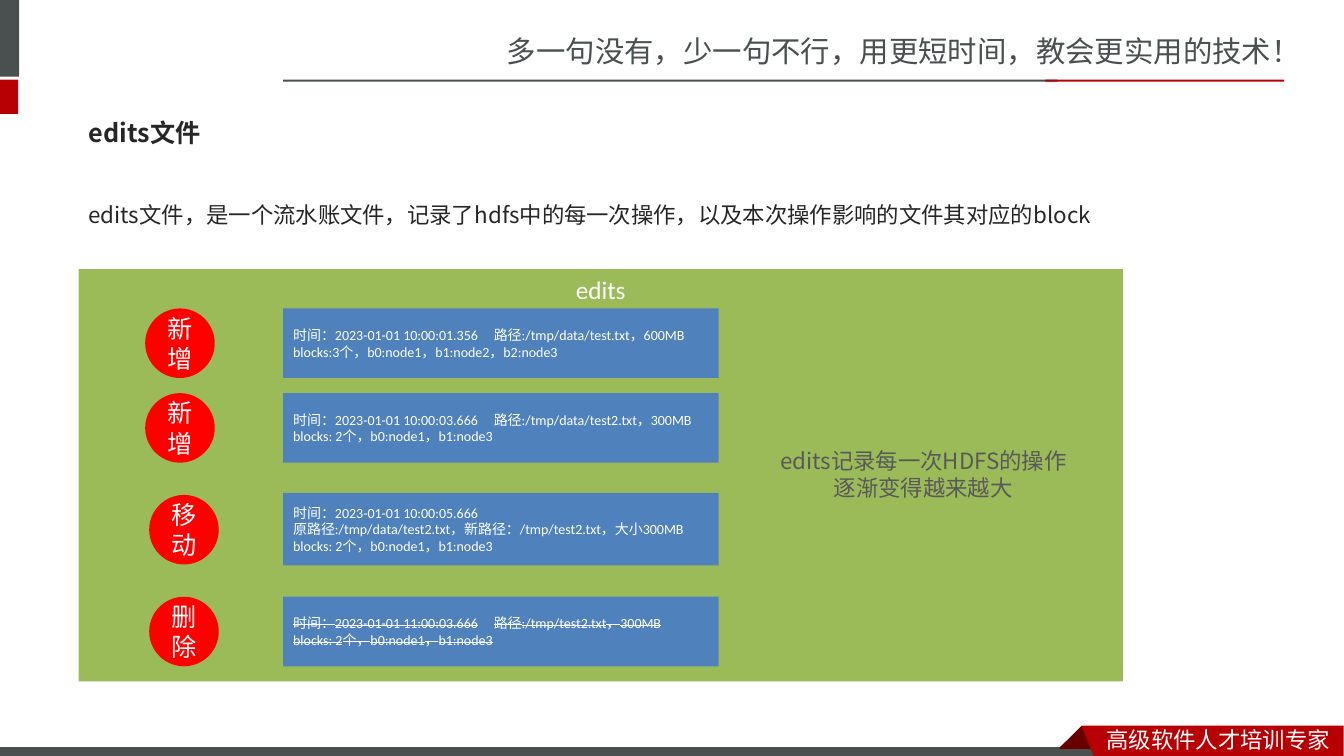
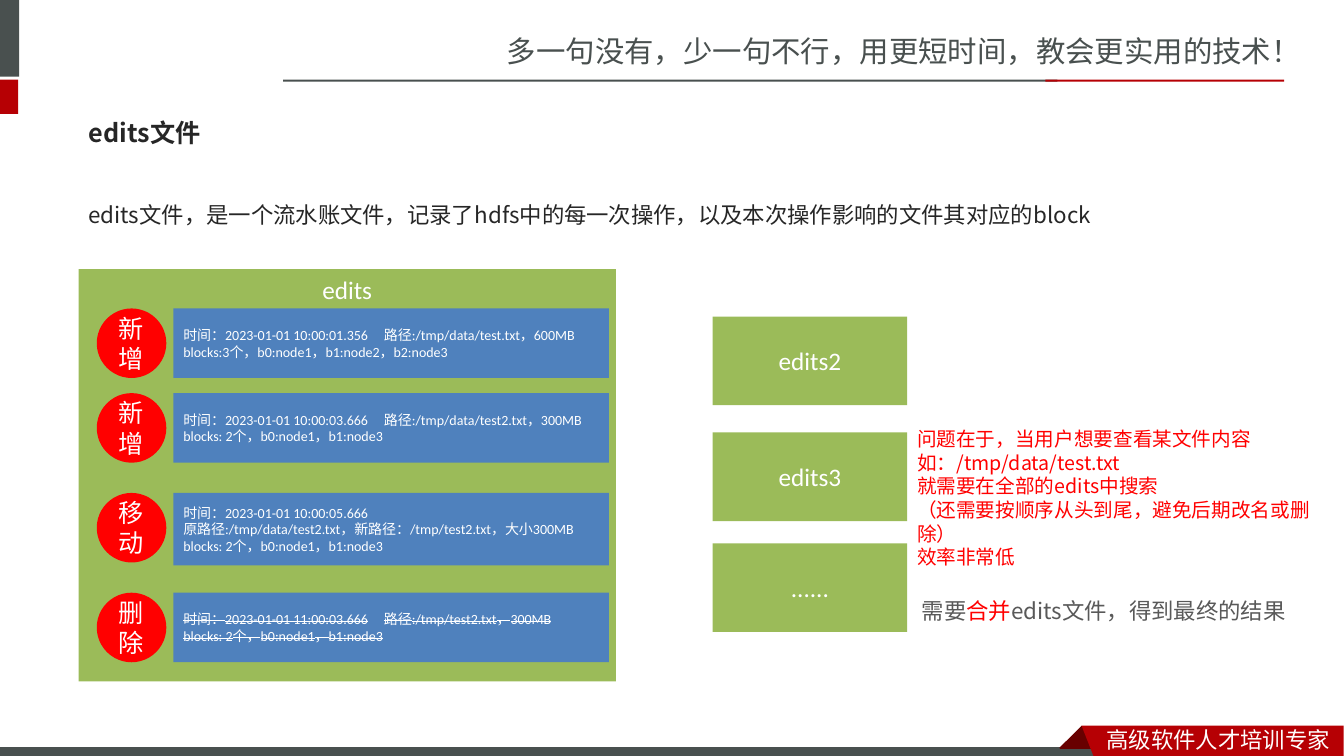
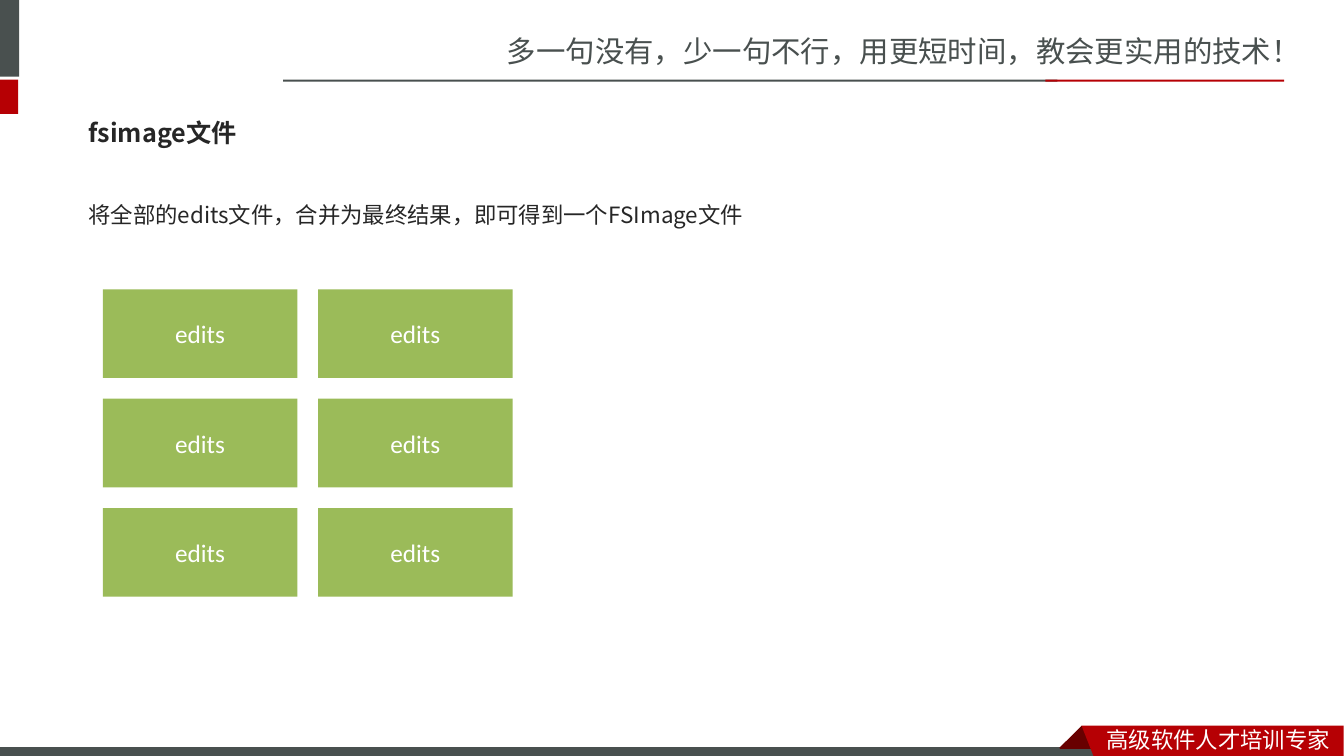
from lxml.etree import SubElement
from pptx import Presentation
from pptx.dml.color import RGBColor
from pptx.enum.shapes import MSO_SHAPE
from pptx.enum.text import MSO_ANCHOR, MSO_AUTO_SIZE, PP_ALIGN
from pptx.oxml.ns import qn
from pptx.util import Inches, Pt

# Grid of square cells, a tenth of an inch each
CELL = Inches(0.1)
COLUMNS, ROWS = 133.33, 75

SLATE = RGBColor(0x49, 0x50, 0x4F)
CRIMSON = RGBColor(0xB6, 0x00, 0x04)
MAROON = RGBColor(0x68, 0x00, 0x00)
WHITE = RGBColor(0xFF, 0xFF, 0xFF)
INK = RGBColor(0x26, 0x26, 0x26)
GRAY = RGBColor(0x59, 0x59, 0x59)
GREEN = RGBColor(0x9B, 0xBB, 0x59)
BLUE = RGBColor(0x4F, 0x81, 0xBD)
RED = RGBColor(0xFF, 0x00, 0x00)

SANS_SC, SANS_JP, LATIN = "Noto Sans CJK SC", "Noto Sans CJK JP", "Calibri"
RECT, OVAL = MSO_SHAPE.RECTANGLE, MSO_SHAPE.OVAL


def place(slide, left, top, width, height, kind=None, fill=None, line=None):
    """Add a text box, or a filled preset shape, measured in grid cells."""
    box = [round(n * CELL) for n in (left, top, width, height)]
    if kind is None:
        return slide.shapes.add_textbox(*box)
    shape = slide.shapes.add_shape(kind, *box)
    shape.shadow.inherit = False
    shape.fill.solid()
    shape.fill.fore_color.rgb = fill
    if line is None:
        shape.line.fill.background()
    else:
        shape.line.color.rgb = line
        shape.line.width = Pt(0.75)
    return shape


def write(shape, *paragraphs, size=18, font=LATIN, color=WHITE, bold=False,
          strike=False, align=PP_ALIGN.LEFT, anchor=MSO_ANCHOR.TOP,
          spacing=None, tab=None):
    """Fill a shape; a paragraph is a string or a list of (text, color) runs."""
    frame = shape.text_frame
    frame.word_wrap = True
    frame.auto_size = MSO_AUTO_SIZE.NONE
    frame.vertical_anchor = anchor
    for number, content in enumerate(paragraphs):
        paragraph = frame.add_paragraph() if number else frame.paragraphs[0]
        paragraph.alignment = align
        paragraph.space_before = Pt(0)
        if spacing:
            paragraph.line_spacing = spacing
        runs = [(content, color)] if isinstance(content, str) else content
        for words, run_color in runs:
            run = paragraph.add_run()
            run.text = words
            run.font.size = Pt(size)
            run.font.name = font
            run.font.bold = bold
            run.font.color.rgb = run_color
    for properties in shape.element.iter(qn("a:rPr")):
        east_asian = SANS_SC if font == LATIN else font
        SubElement(properties, qn("a:ea")).set("typeface", east_asian)
        if strike:
            properties.set("strike", "sngStrike")
    if tab:
        for properties in shape.element.iter(qn("a:pPr")):
            stop = SubElement(SubElement(properties, qn("a:tabLst")), qn("a:tab"))
            stop.set("pos", str(round(tab * CELL)))
            stop.set("algn", "l")


CENTERED = dict(align=PP_ALIGN.CENTER, anchor=MSO_ANCHOR.MIDDLE)

deck = Presentation()
deck.slide_width = round(COLUMNS * CELL)
deck.slide_height = ROWS * CELL
layout = deck.slide_layouts[5]

# Slides with heading and introduction
EDITS_INTRO = ("edits文件，是一个流水账文件，记录了hdfs中的每一次操作，"
               "以及本次操作影响的文件其对应的block")
FSIMAGE_INTRO = "将全部的edits文件，合并为最终结果，即可得到一个FSImage文件"
slides = []
for heading, intro in [("edits文件", EDITS_INTRO), ("edits文件", EDITS_INTRO),
                       ("fsimage文件", FSIMAGE_INTRO)]:
    slide = deck.slides.add_slide(layout)
    title = slide.shapes.title
    title.left, title.top, title.width, title.height = (
        round(n * CELL) for n in (7.8, 10.3, 117, 5.7))
    write(title, heading, font=SANS_JP, color=INK, bold=True,
          anchor=MSO_ANCHOR.MIDDLE)
    write(place(slide, 7.8, 18.1, 117, 9.6), intro, size=16, font=SANS_JP,
          color=INK, spacing=1.5)
    slides.append(slide)
log_slide, search_slide, fsimage_slide = slides

# Shared frame: slogan, bands and ribbon, drawn once and moved to the layout
draft = deck.slides[0]
content_count = len(draft.shapes)
write(place(draft, 49.3, 2.8, 84.1, 4.5),
      "多一句没有，少一句不行，用更短时间，教会更实用的技术！",
      size=21, font=SANS_SC, color=SLATE)
for left, top, width, height, fill in [(-0.6, 0, 2.5, 7.6, SLATE),
                                       (-0.6, 7.9, 2.4, 3.4, CRIMSON),
                                       (28.1, 7.9, 76.8, 0.2, SLATE),
                                       (103.7, 7.9, 23.7, 0.2, CRIMSON)]:
    place(draft, left, top, width, height, RECT, fill)
place(draft, -0.1, 74.1, 110, 1.2, RECT, SLATE, line=WHITE)
FOLD = [(107.3, 72), (109.5, 74.2), (109.4, 74.3), (105.2, 74.3), (105.1, 74.2)]
RIBBON = [(107.3, 72), (133.3, 72), (133.3, 75.4), (108.6, 75.3)]
for outline, fill in [(FOLD, MAROON), (RIBBON, CRIMSON)]:
    corners = [(round(x * CELL), round(y * CELL)) for x, y in outline]
    builder = draft.shapes.build_freeform(*corners[0], scale=1.0)
    builder.add_line_segments(corners[1:], close=True)
    band = builder.convert_to_shape()
    band.shadow.inherit = False
    band.fill.solid()
    band.fill.fore_color.rgb = fill
    band.line.fill.background()
write(place(draft, 108.8, 71.5, 24.5, 3.7), "高级软件人才培训专家",
      size=16, font=SANS_SC)
for part in list(draft.shapes)[content_count:]:
    layout.shapes.element.append(part.element)

# Edit log: one badge and one record per operation
OPERATIONS = [
    ("新增", ["时间：2023-01-01 10:00:01.356\t路径:/tmp/data/test.txt，600MB",
            "blocks:3个，b0:node1，b1:node2，b2:node3"]),
    ("新增", ["时间：2023-01-01 10:00:03.666\t路径:/tmp/data/test2.txt，300MB",
            "blocks: 2个，b0:node1，b1:node3"]),
    ("移动", ["时间：2023-01-01 10:00:05.666",
            "原路径:/tmp/data/test2.txt，新路径：/tmp/test2.txt，大小300MB",
            "blocks: 2个，b0:node1，b1:node3"]),
    ("删除", ["时间：2023-01-01 11:00:03.666\t路径:/tmp/test2.txt，300MB",
            "blocks: 2个，b0:node1，b1:node3"]),
]
LOGS = [  # slide, log width, record column, badge places, record rows
    (log_slide, 103.6, 28.1,
     [(14.4, 30.6), (14.4, 39), (14.8, 49.1), (14.8, 59.2)],
     [30.6, 39, 48.9, 59.2]),
    (search_slide, 53.3, 17.2,
     [(9.6, 30.6), (9.6, 39), (9.6, 48.9), (9.6, 58.8)],
     [30.6, 39, 48.9, 58.8]),
]
for slide, log_width, record_left, badges, record_tops in LOGS:
    write(place(slide, 7.8, 26.7, log_width, 40.9, RECT, GREEN), "edits",
          align=PP_ALIGN.CENTER)
    for (action, details), badge, top in zip(OPERATIONS, badges, record_tops):
        write(place(slide, *badge, 6.9, 6.9, OVAL, RED), action, **CENTERED)
        height = 7.2 if len(details) == 3 else 6.9
        write(place(slide, record_left, top, 43.2, height, RECT, BLUE), *details,
              size=10, strike=action == "删除", anchor=MSO_ANCHOR.MIDDLE, tab=19.9)

# Slide 1: remark on growth
write(place(log_slide, 73.7, 43.9, 35.8, 6.4), "edits记录每一次HDFS的操作",
      "逐渐变得越来越大", size=16, font=SANS_JP, color=GRAY,
      align=PP_ALIGN.CENTER)

# Slide 2: further logs and the search problem
FILE_WIDTH, FILE_HEIGHT = 19.3, 8.8
for name, top in [("edits2", 31.4), ("edits3", 42.9), ("......", 53.9)]:
    write(place(search_slide, 70.7, top, FILE_WIDTH, FILE_HEIGHT, RECT, GREEN),
          name, **CENTERED)
write(place(search_slide, 90, 41.9, 44.4, 12.8),
      "问题在于，当用户想要查看某文件内容", "如：/tmp/data/test.txt",
      "就需要在全部的edits中搜索", "（还需要按顺序从头到尾，避免后期改名或删除）",
      "效率非常低", size=14, font=SANS_JP, color=RED)
write(place(search_slide, 87.3, 58.7, 44.4, 3.7),
      [("需要", GRAY), ("合并", RED), ("edits文件，得到最终的结果", GRAY)],
      size=16, font=SANS_JP, align=PP_ALIGN.CENTER)

# Slide 3: grid of logs to merge
GAP = 2.05
for column in range(2):
    for row in range(3):
        left = 10.2 + column * (FILE_WIDTH + GAP)
        top = 28.7 + row * (FILE_HEIGHT + GAP)
        write(place(fsimage_slide, left, top, FILE_WIDTH, FILE_HEIGHT, RECT, GREEN),
              "edits", **CENTERED)

deck.save("out.pptx")
